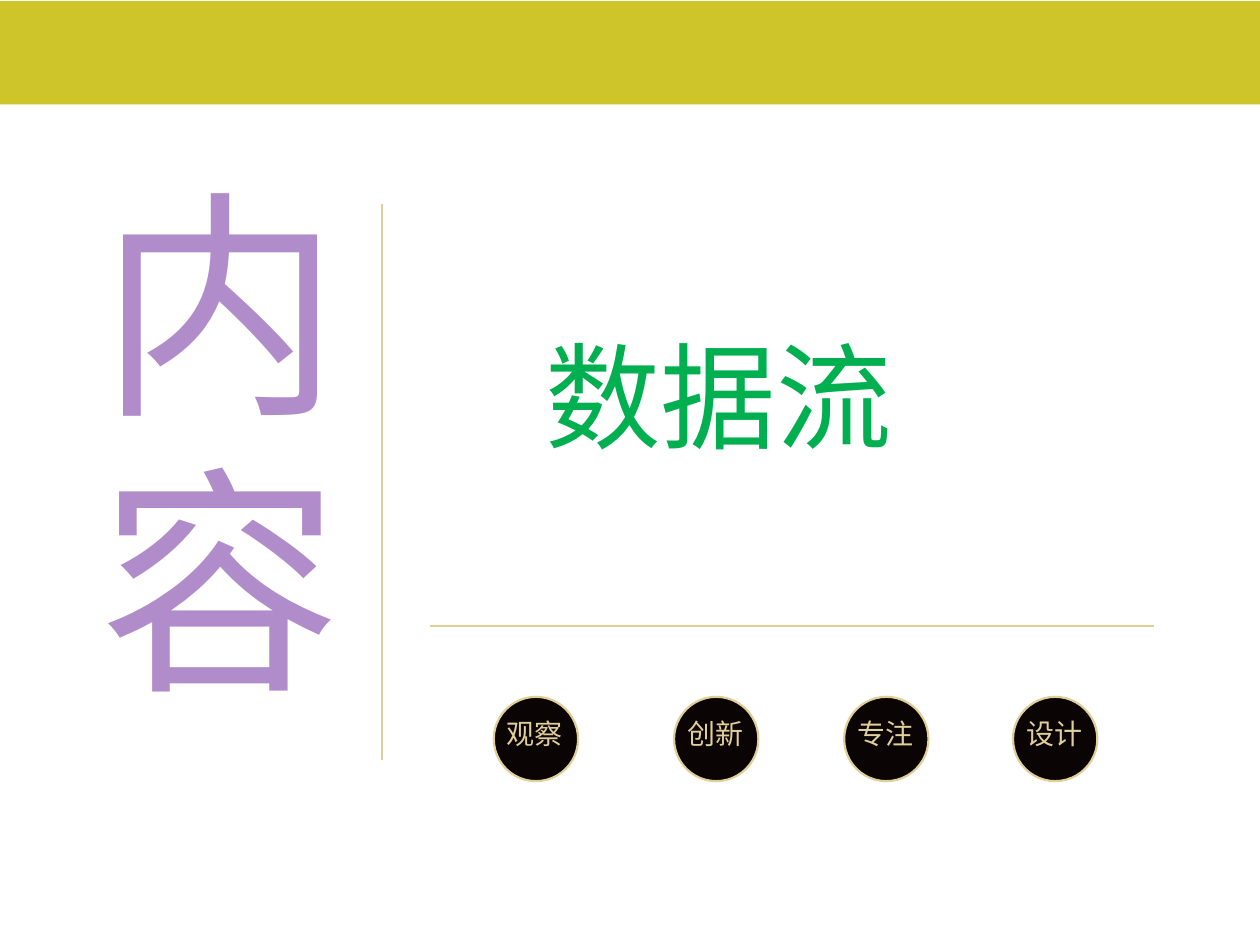
from pptx import Presentation
from pptx.dml.color import RGBColor
from pptx.enum.shapes import MSO_CONNECTOR as Link, MSO_SHAPE as Kind
from pptx.enum.text import MSO_ANCHOR as Anchor, MSO_AUTO_SIZE as Fit, PP_ALIGN as Align
from pptx.oxml.ns import qn
from pptx.util import Pt
from lxml.etree import SubElement as Sub

# Content
TITLE = ("数据流", (306.7, 191.5, 211, 85.7))
HEADS = [("内", 104.4), ("容", 262.1)]  # letter, top
DOTS = [("观察", 282.2), ("创新", 385.2), ("专注", 482.4), ("设计", 578.9)]  # label, left
RULES = [(245.5, 357.8, 659.5, 357.8), (218.2, 116.6, 218.2, 434.2)]

HUES = {"band": "CDC529", "head": "7030A0", "title": "00B050",
        "dot": "0A0404", "gold": "E1CF9A"}
FONT = "Noto Sans CJK SC"
DOT_TOP, DOT = 398.2, 48.2


def hue(name):
    return RGBColor.from_string(HUES[name])


def place(shape, box):
    shape.left, shape.top, shape.width, shape.height = map(Pt, box)


def write(shape, text, size, color, wrap=False):
    frame = shape.text_frame
    frame.word_wrap = wrap
    frame.auto_size = Fit.SHAPE_TO_FIT_TEXT
    frame.vertical_anchor = Anchor.TOP
    frame.margin_left = frame.margin_right = Pt(5)
    frame.margin_top = frame.margin_bottom = Pt(2.9)
    para = frame.paragraphs[0]
    para.alignment = Align.LEFT
    para.line_spacing = 0.9
    run = para.add_run()
    run.text = text
    font = run.font
    font.size, font.name = Pt(size), FONT
    font.color.rgb = hue(color)
    Sub(font._element, qn("a:ea")).set("typeface", FONT)
    return font


def draw(shapes, kind, box, fill, line=None):
    shape = shapes.add_shape(kind, *map(Pt, box))
    shape.shadow.inherit = False
    shape.fill.solid()
    shape.fill.fore_color.rgb = hue(fill)
    if line:
        shape.line.color.rgb = hue(line)
        shape.line.width = Pt(1.25)
    else:
        shape.line.fill.background()


deck = Presentation()
deck.slide_width, deck.slide_height = Pt(720), Pt(540)
slide = deck.slides.add_slide(deck.slide_layouts[5])
parts = slide.shapes

# Top band
draw(parts, Kind.RECTANGLE, (0, 0.7, 720, 59), "band")

# Title
text, box = TITLE
place(parts.title, box)
write(parts.title, text, 66, "title")

# Large letters, part transparent
for text, top in HEADS:
    note = parts.add_textbox(*map(Pt, (51.8, top, 150.5, 172.8)))
    font = write(note, text, 138, "head")
    tint = font._element.find(".//" + qn("a:srgbClr"))
    Sub(tint, qn("a:alpha")).set("val", "55000")

# Labelled dots
for text, left in DOTS:
    group = parts.add_group_shape()
    draw(group.shapes, Kind.OVAL, (left, DOT_TOP, DOT, DOT), "dot", "gold")
    note = group.shapes.add_textbox(*map(Pt, (left + 2.5, DOT_TOP + 10.8, 43.2, 25.2)))
    write(note, text, 16, "gold", True)

# Rules
for ends in RULES:
    rule = parts.add_connector(Link.STRAIGHT, *map(Pt, ends))
    rule.line.color.rgb = hue("gold")
    rule.line.width = Pt(1.5)
    Sub(rule._element.spPr, qn("a:effectLst"))

deck.save("out.pptx")
